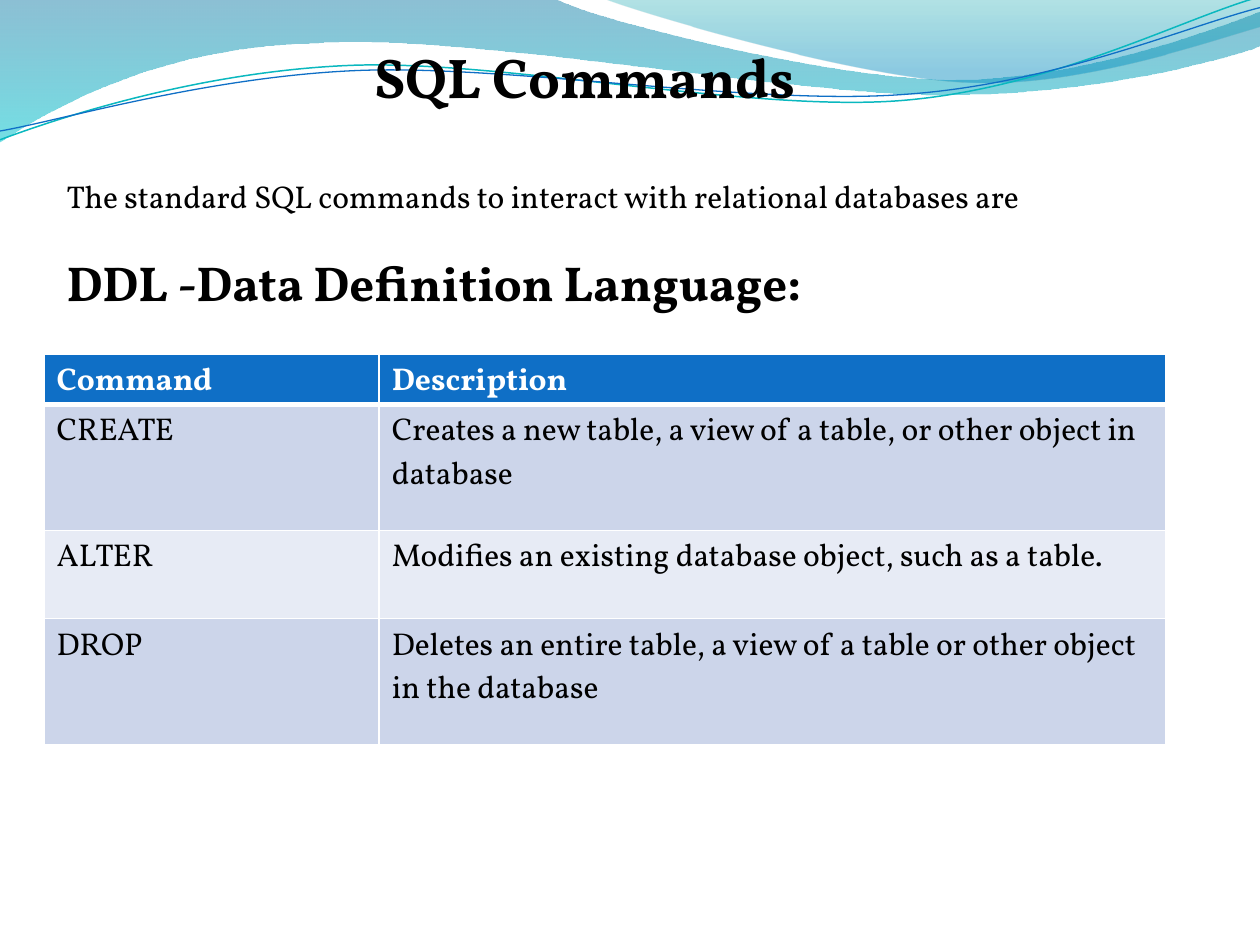
"""Build the SQL Commands slide: wave header, heading text and a DDL table."""
from math import cos, radians, sin
from lxml import etree
from pptx import Presentation
from pptx.dml.color import RGBColor
from pptx.enum.text import PP_ALIGN
from pptx.oxml.ns import qn
from pptx.util import Inches, Pt

LEFT, MID = PP_ALIGN.LEFT, PP_ALIGN.CENTER
FONT = "Vollkorn"
WIDE, HIGH = 10, 7.5
HEX = {
    "black": "000000", "white": "FFFFFF", "blue": "0F6FC6", "teal": "0AB8BF",
    "band": "CCD5EA", "pale": "E7EBF5", "deep": "0074A1", "aqua": "00C6CF",
    "sea": "00A1A9", "sky": "008BBF",
}

WAVES = [
    {"box": (-0.01, -0.01, 10.02, 1.14), "turn": 0,
     "stops": [(0, "deep", 45), (1, "aqua", 55)],
     "path": [(0, 0), (4.4, -0.01),
              (4.76, 0.17, 6.64, 0.63, 7.58, 0.63),
              (8.53, 0.63, 9.58, 0.26, 10, 0.09),
              (10.01, 0.36),
              (9.83, 0.44, 8.7, 0.76, 7.46, 0.75),
              (6.22, 0.75, 3.82, 0.28, 2.57, 0.34),
              (1.29, 0.36, 0.46, 0.83, -0.01, 1.13),
              (0, 0)]},
    {"box": (4.79, -0.01, 5.21, 0.7), "turn": 0,
     "stops": [(0, "sea", 30), (0.8, "sky", 45)],
     "path": [(4.79, -0.01),
              (5.09, 0.11, 6.82, 0.62, 7.69, 0.65),
              (8.56, 0.69, 9.61, 0.32, 10, 0.21),
              (10, 0), (4.79, -0.01)]},
    {"box": (-0.02, 0.22, 10.02, 0.71), "turn": -2.7, "line": ("teal", 0.85),
     "path": [(0, 1.11),
              (0.48, 0.93, 1.58, 0.57, 2.77, 0.52),
              (3.95, 0.47, 5.93, 0.89, 7.13, 0.8),
              (8.33, 0.71, 9.38, 0.15, 9.98, -0.02)]},
    {"box": (-0.02, 0.3, 10.03, 0.58), "turn": -2.7, "line": ("blue", 0.75),
     "path": [(0, 1.04),
              (0.47, 0.96, 1.64, 0.61, 2.83, 0.56),
              (4.03, 0.51, 5.97, 0.84, 7.17, 0.75),
              (8.36, 0.67, 9.41, 0.21, 10, 0.06)]},
]

HEADS = [
    ("SQL Commands", 32, True, MID, 0),
    ("The standard SQL commands to interact with relational databases are",
     18, False, LEFT, 38.6),
    ("DDL -Data Definition Language:", 28, True, LEFT, 21.4),
]
HEAD_BOX = (0.43, 0.29, 8.43, 2.73)

ROWS = [
    ("Command", "Description"),
    ("CREATE", "Creates a new table, a view of a table, or other object in database"),
    ("ALTER", "Modifies an existing database object, such as a table."),
    ("DROP", "Deletes an entire table, a view of a table or other object in the database"),
]
COLS = (2.66, 6.24)
TALL = (0.4, 1, 0.7, 1)
GRID_AT = (0.35, 2.81)


def shade(name):
    return RGBColor.from_string(HEX[name])


def place(x, y, box, turn):
    left, top, width, height = box
    mid_x, mid_y = left + width / 2, top + height / 2
    dx, dy, arc = x - mid_x, y - mid_y, radians(-turn)
    return (Inches(width / 2 + dx * cos(arc) - dy * sin(arc)),
            Inches(height / 2 + dx * sin(arc) + dy * cos(arc)))


def curve(shape, wave):
    box, turn = wave["box"], wave["turn"]
    shape.left, shape.top, shape.width, shape.height = map(Inches, box)
    shape.rotation = turn % 360
    path = next(shape.element.iter(qn("a:path")))
    for old in list(path):
        path.remove(old)
    path.set("w", str(shape.width))
    path.set("h", str(shape.height))
    for i, part in enumerate(wave["path"]):
        kind = "cubicBezTo" if len(part) == 6 else "lnTo" if i else "moveTo"
        node = etree.SubElement(path, qn("a:" + kind))
        for x, y in zip(part[::2], part[1::2]):
            px, py = place(x, y, box, turn)
            etree.SubElement(node, qn("a:pt"), x=str(px), y=str(py))
    if "stops" in wave:
        etree.SubElement(path, qn("a:close"))


def add_wave(slide, wave):
    pen = slide.shapes.build_freeform()
    pen.add_line_segments([(Inches(WIDE), Inches(1))], close=False)
    shape = pen.convert_to_shape()
    curve(shape, wave)
    shape.shadow.inherit = False
    if "line" in wave:
        name, size = wave["line"]
        shape.fill.background()
        shape.line.color.rgb = shade(name)
        shape.line.width = Pt(size)
        return
    shape.line.fill.background()
    shape.fill.gradient()
    shape.fill.gradient_angle = 270
    for stop, (spot, name, _) in zip(shape.fill.gradient_stops, wave["stops"]):
        stop.position = spot
        stop.color.rgb = shade(name)
    tints = list(shape.element.spPr.iter(qn("a:srgbClr")))
    for tint, (_, _, clear) in zip(tints, wave["stops"]):
        etree.SubElement(tint, qn("a:alpha"), val=str(clear * 1000))


def write(para, text, size, bold, tone):
    para.text = text
    font = para.font
    font.name, font.size, font.bold = FONT, Pt(size), bold
    font.color.rgb = shade(tone)


def add_heads(slide):
    frame = slide.shapes.add_textbox(*map(Inches, HEAD_BOX)).text_frame
    frame.word_wrap = True
    for i, (text, size, bold, align, gap) in enumerate(HEADS):
        para = frame.add_paragraph() if i else frame.paragraphs[0]
        para.alignment = align
        para.space_before = Pt(gap)
        write(para, text, size, bold, "black")


def edge(cell, side, size):
    line = etree.SubElement(cell._tc.get_or_add_tcPr(), qn("a:" + side),
                            w=str(Pt(size)))
    fill = etree.SubElement(line, qn("a:solidFill"))
    etree.SubElement(fill, qn("a:srgbClr"), val=HEX["white"])


def add_grid(slide):
    size = (sum(COLS), sum(TALL))
    table = slide.shapes.add_table(len(ROWS), len(COLS),
                                   *map(Inches, GRID_AT + size)).table
    for col, width in zip(table.columns, COLS):
        col.width = Inches(width)
    for r, (texts, height) in enumerate(zip(ROWS, TALL)):
        table.rows[r].height = Inches(height)
        back = ("band" if r % 2 else "pale") if r else "blue"
        for c, text in enumerate(texts):
            cell = table.cell(r, c)
            for side in ("lnL", "lnR", "lnT", "lnB"):
                thick = (r, side) in ((0, "lnB"), (1, "lnT"))
                edge(cell, side, 3 if thick else 1)
            cell.fill.solid()
            cell.fill.fore_color.rgb = shade(back)
            write(cell.text_frame.paragraphs[0], text, 18, r == 0,
                  "black" if r else "white")


def main():
    deck = Presentation()
    deck.slide_width, deck.slide_height = Inches(WIDE), Inches(HIGH)
    slide = deck.slides.add_slide(deck.slide_layouts[6])
    for wave in WAVES:
        add_wave(slide, wave)
    add_heads(slide)
    add_grid(slide)
    deck.save("out.pptx")


if __name__ == "__main__":
    main()
